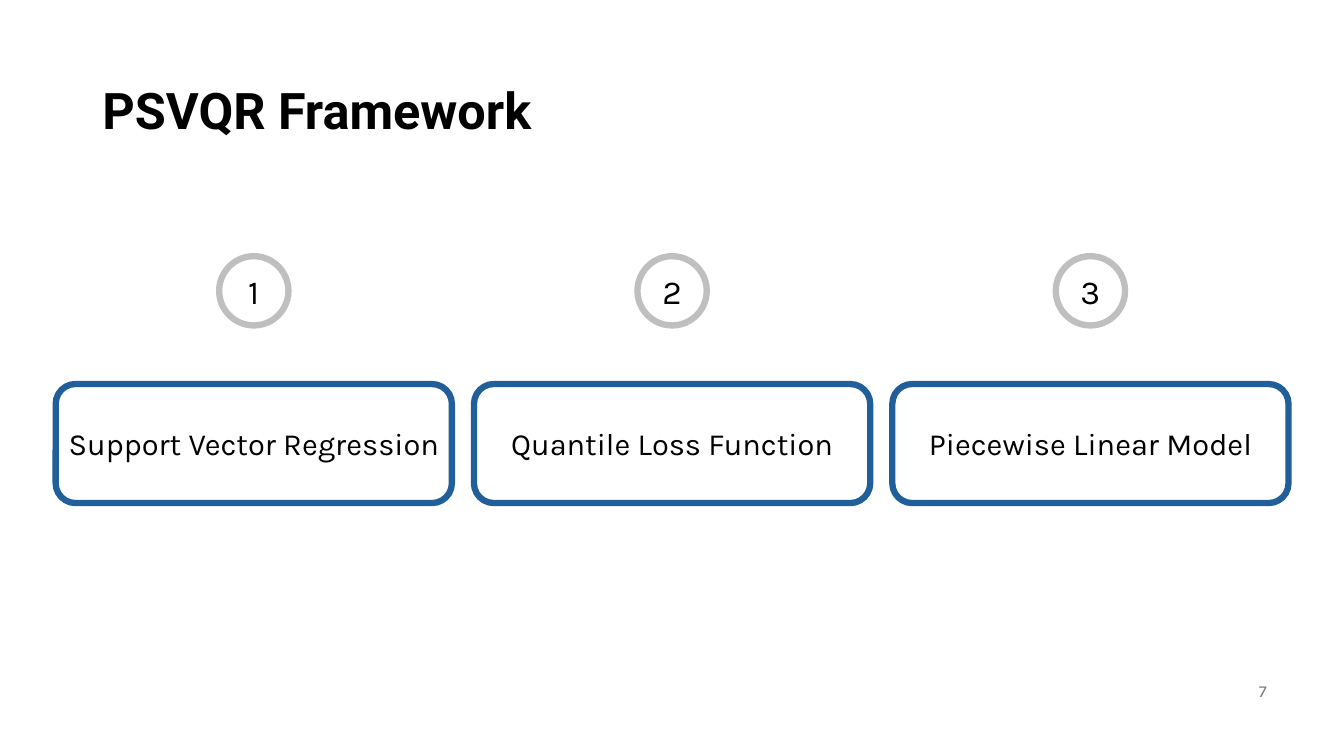
from pptx import Presentation
from pptx.dml.color import RGBColor
from pptx.enum.shapes import MSO_SHAPE as Shape
from pptx.enum.text import MSO_ANCHOR as Anchor, MSO_AUTO_SIZE as AutoSize, PP_ALIGN as Align
from pptx.util import Pt

BLACK = RGBColor(0x00, 0x00, 0x00)
BLUE = RGBColor(0x21, 0x5F, 0x9A)
SILVER = RGBColor(0xBF, 0xBF, 0xBF)
GREY = RGBColor(0x79, 0x79, 0x79)

COMPONENTS = [
    "Support Vector Regression",
    "Quantile Loss Function",
    "Piecewise Linear Model",
]
COLUMN_WIDTH = 283
COLUMN_PITCH = 298.8
BADGE_SIZE = 49.5
CARD_HEIGHT = 85


def write(shape, text, font_name, size, color, align):
    frame = shape.text_frame
    frame.text = text
    frame.word_wrap = True
    frame.auto_size = AutoSize.NONE
    frame.vertical_anchor = Anchor.MIDDLE
    paragraph = frame.paragraphs[0]
    paragraph.alignment = align
    font = paragraph.font
    font.name, font.size, font.color.rgb = font_name, Pt(size), color
    return paragraph


def add_title(slide, text, left, top, width, height):
    title = slide.shapes.title
    title.left, title.top, title.width, title.height = map(Pt, (left, top, width, height))
    paragraph = write(title, text, "Roboto", 36, BLACK, Align.LEFT)
    paragraph.font.bold = True
    paragraph.line_spacing = 0.9


def add_outlined(slide, preset, box, line_color, text, size):
    shape = slide.shapes.add_shape(preset, *map(Pt, box))
    shape.shadow.inherit = False
    shape.fill.background()
    shape.line.color.rgb = line_color
    shape.line.width = Pt(4.5)
    frame = shape.text_frame
    frame.margin_left = frame.margin_right = frame.margin_top = frame.margin_bottom = 0
    write(shape, text, "Karla", size, BLACK, Align.CENTER)


def add_component(slide, number, name, left, top, width, height):
    """Numbered badge centred at the top of the box, named card at its bottom."""
    badge_left = left + (width - BADGE_SIZE) / 2
    add_outlined(slide, Shape.OVAL, (badge_left, top, BADGE_SIZE, BADGE_SIZE),
                 SILVER, str(number), 24)
    card_top = top + height - CARD_HEIGHT
    add_outlined(slide, Shape.ROUNDED_RECTANGLE, (left, card_top, width, CARD_HEIGHT),
                 BLUE, name, 22)


def add_page_number(slide, number, left, top, width, height):
    page_number = slide.shapes.add_textbox(*map(Pt, (left, top, width, height)))
    write(page_number, str(number), "Karla", 12, GREY, Align.RIGHT)


def main():
    presentation = Presentation()
    presentation.slide_width, presentation.slide_height = Pt(960), Pt(540)
    slide = presentation.slides.add_slide(presentation.slide_layouts[5])
    add_title(slide, "PSVQR Framework", 66, 28.8, 828, 104.4)
    for index, name in enumerate(COMPONENTS):
        add_component(slide, index + 1, name, 39.8 + index * COLUMN_PITCH, 183,
                      COLUMN_WIDTH, 176.3)
    add_page_number(slide, 7, 696, 479, 216, 28.8)
    presentation.save("out.pptx")


if __name__ == "__main__":
    main()
